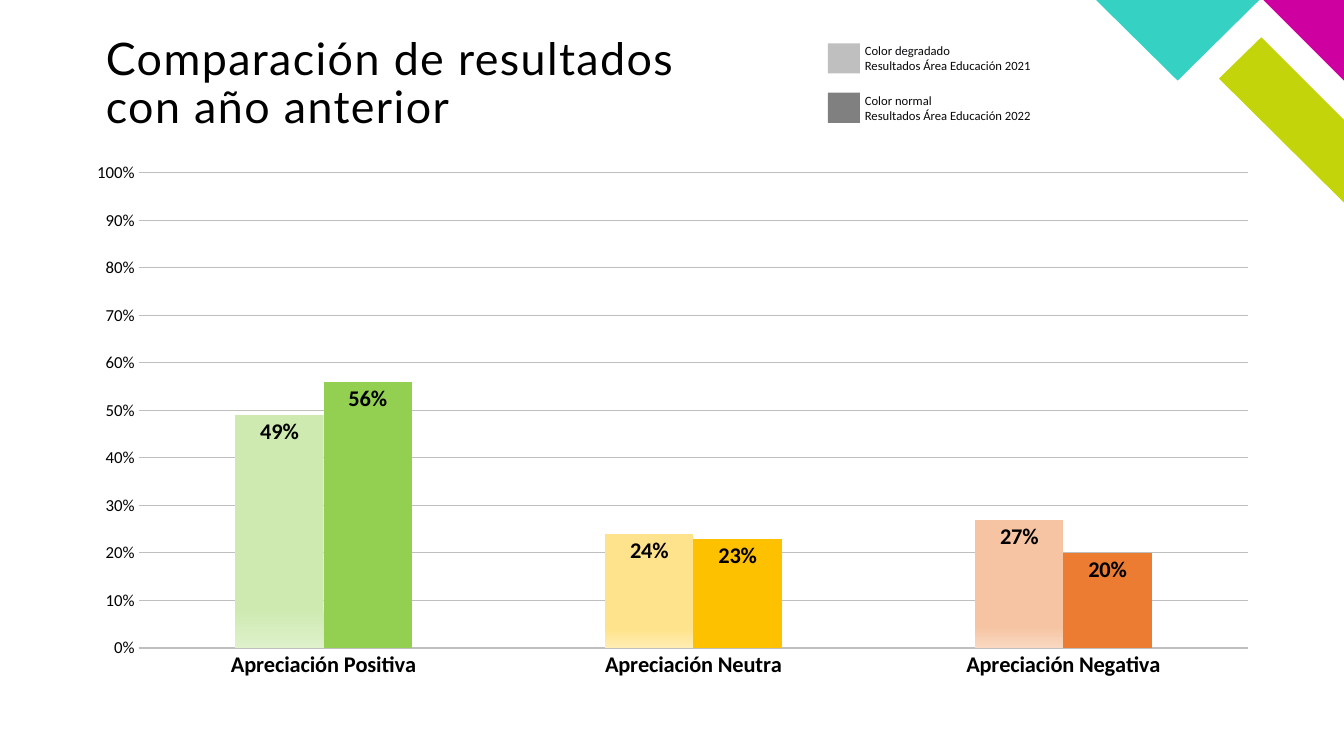
from lxml import etree
from pptx import Presentation
from pptx.chart.data import CategoryChartData
from pptx.dml.color import RGBColor
from pptx.enum import chart as ch, shapes, text
from pptx.oxml import parse_xml
from pptx.oxml.ns import nsdecls
from pptx.util import Inches, Pt

BLACK = RGBColor(0, 0, 0)
INK = RGBColor(0x07, 0x08, 0x0B)
SILVER = RGBColor(0xBF, 0xBF, 0xBF)
GRAY = RGBColor(0x80, 0x80, 0x80)
TEAL = RGBColor(0x35, 0xD2, 0xC4)
MAGENTA = RGBColor(0xCE, 0x00, 0x9F)
LIME = RGBColor(0xC4, 0xD4, 0x0A)
GREEN = RGBColor(0x93, 0xD0, 0x51)
YELLOW = RGBColor(0xFE, 0xC1, 0x00)
ORANGE = RGBColor(0xEC, 0x7C, 0x31)
FADES = [
    (RGBColor(0xCE, 0xEA, 0xB1), RGBColor(0xDF, 0xF1, 0xCB)),
    (RGBColor(0xFF, 0xE3, 0x8C), RGBColor(0xFF, 0xED, 0xB2)),
    (RGBColor(0xF6, 0xC4, 0xA2), RGBColor(0xF9, 0xD8, 0xC1)),
]
RESULTS = {
    "Apreciación Positiva": (0.49, 0.56),
    "Apreciación Neutra": (0.24, 0.23),
    "Apreciación Negativa": (0.27, 0.20),
}


def style_font(font, size, color=BLACK, bold=False, name="Calibri"):
    """Set the face, size, weight and colour of a font."""
    font.name, font.size, font.bold = name, Pt(size), bold
    font.color.rgb = color


def write(frame, lines, size, color=BLACK, name="Calibri", line_spacing=None, tracking=0):
    """Write one paragraph per line into a text frame."""
    frame.word_wrap = True
    frame.text = "\n".join(lines)
    for paragraph in frame.paragraphs:
        paragraph.line_spacing = line_spacing
        for run in paragraph.runs:
            style_font(run.font, size, color, name=name)
            if tracking:
                run.font._element.set("spc", str(tracking * 100))


def paint(shape, color):
    """Give a shape a flat fill without outline or shadow."""
    shape.shadow.inherit = False
    shape.fill.solid()
    shape.fill.fore_color.rgb = color
    shape.line.fill.background()


def add_corner(slide, left, top):
    """Draw the coloured ribbons in the top right corner."""
    ribbons = [
        (LIME, [(2.46, 2.01), (2.46, 1.19), (1.64, 0.37), (1.22, 0.78)]),
        (MAGENTA, [(2.46, 0.8), (2.46, 0), (1.66, 0)]),
        (TEAL, [(0, 0), (0.81, 0.8), (1.62, 0)]),
    ]
    for color, points in ribbons:
        corners = [(Inches(left + x), Inches(top + y)) for x, y in points]
        outline = slide.shapes.build_freeform(*corners[0])
        outline.add_line_segments(corners[1:], close=True)
        paint(outline.convert_to_shape(), color)


def add_title(slide, left, top, width, height):
    """Place and format the title placeholder."""
    title = slide.shapes.title
    title.left, title.top = Inches(left), Inches(top)
    title.width, title.height = Inches(width), Inches(height)
    frame = title.text_frame
    frame.margin_left = frame.margin_top = frame.margin_right = frame.margin_bottom = 0
    frame.auto_size = text.MSO_AUTO_SIZE.NONE
    frame.vertical_anchor = text.MSO_ANCHOR.TOP
    write(frame, ["Comparación de resultados con año anterior"], 32,
          name="Lato", line_spacing=0.9, tracking=1)
    frame.paragraphs[0].alignment = text.PP_ALIGN.LEFT


def add_legend(slide, left, top):
    """Stack a swatch and a two-line label for each year."""
    entries = [(SILVER, "Color degradado", 2021), (GRAY, "Color normal", 2022)]
    for row, (color, tone, year) in enumerate(entries):
        y = top + row * 0.49
        swatch = slide.shapes.add_shape(shapes.MSO_SHAPE.RECTANGLE, Inches(left), Inches(y),
                                        Inches(0.32), Inches(0.3))
        paint(swatch, color)
        label = slide.shapes.add_textbox(Inches(left + 0.27), Inches(y - 0.05),
                                         Inches(3.16), Inches(0.4))
        write(label.text_frame, [tone, f"Resultados Área Educación {year}"], 9, INK)


def color_bars(plot):
    """Fade the bars of the first year and fill those of the second."""
    earlier, later = plot.series
    for index, (tint, pale) in enumerate(FADES):
        fill = earlier.points[index].format.fill
        fill.gradient()
        fill.gradient_angle = 270
        for stop, position, color in zip(fill.gradient_stops, (0.83, 1), (tint, pale)):
            stop.position = position
            stop.color.rgb = color
    for index, color in enumerate((GREEN, YELLOW, ORANGE)):
        fill = later.points[index].format.fill
        fill.solid()
        fill.fore_color.rgb = color


def fix_plot_area(chart, **fractions):
    """Pin the inner plot area to fractions of the chart box."""
    area = chart._chartSpace.chart.plotArea
    for old in area.findall("{*}layout"):
        area.remove(old)
    layout = parse_xml(f"<c:layout {nsdecls('c')}><c:manualLayout/></c:layout>")
    settings = {"layoutTarget": "inner", "xMode": "edge", "yMode": "edge", **fractions}
    for tag, value in settings.items():
        etree.SubElement(layout[0], layout.tag.replace("layout", tag)).set("val", str(value))
    area.insert(0, layout)


def add_results_chart(slide, left, top, width, height):
    """Add the clustered columns that compare both years."""
    data = CategoryChartData(number_format="0%")
    data.categories = list(RESULTS)
    for number, values in enumerate(zip(*RESULTS.values()), 1):
        data.add_series(f"Series {number}", values)
    chart = slide.shapes.add_chart(ch.XL_CHART_TYPE.COLUMN_CLUSTERED, Inches(left), Inches(top),
                                   Inches(width), Inches(height), data).chart
    chart.has_legend = chart.has_title = False
    style_font(chart.font, 10)
    fix_plot_area(chart, x=0.055, y=0.04, w=0.925, h=0.883)

    plot = chart.plots[0]
    plot.gap_width, plot.overlap, plot.vary_by_categories = 219, 0, False
    for series in plot.series:
        labels = series.data_labels
        labels.show_value = True
        labels.number_format, labels.number_format_is_linked = "0%", False
        labels.position = ch.XL_LABEL_POSITION.INSIDE_END
        style_font(labels.font, 16, bold=True)
    color_bars(plot)

    opinions, share = chart.category_axis, chart.value_axis
    for axis in (opinions, share):
        axis.major_tick_mark = axis.minor_tick_mark = ch.XL_TICK_MARK.NONE
    style_font(opinions.tick_labels.font, 16, bold=True)
    opinions.format.line.color.rgb = SILVER
    opinions.format.line.width = Pt(0.75)

    share.minimum_scale, share.maximum_scale, share.major_unit = 0, 1, 0.1
    style_font(share.tick_labels.font, 12)
    share.tick_labels.number_format = "0%"
    share.tick_labels.number_format_is_linked = False
    share.format.line.fill.background()
    share.major_gridlines.format.line.color.rgb = SILVER
    share.major_gridlines.format.line.width = Pt(0.5)


def main():
    """Build the slide and save it."""
    deck = Presentation()
    deck.slide_width, deck.slide_height = Inches(13.33), Inches(7.5)
    slide = deck.slides.add_slide(deck.slide_layouts[5])
    add_corner(slide, 10.87, 0)
    add_results_chart(slide, 0.72, 1.5, 11.9, 5.34)
    add_legend(slide, 8.21, 0.43)
    add_title(slide, 1.05, 0.36, 5.92, 1.14)
    deck.save("out.pptx")


if __name__ == "__main__":
    main()
